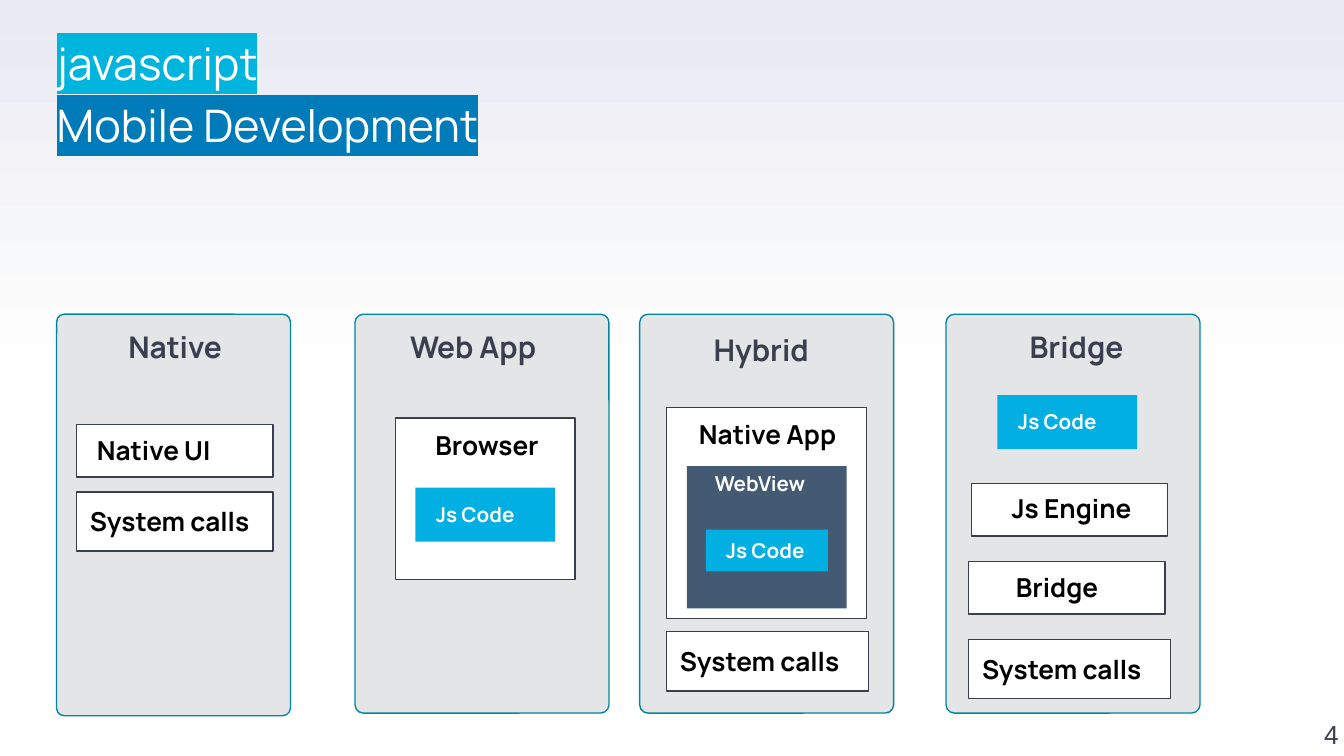
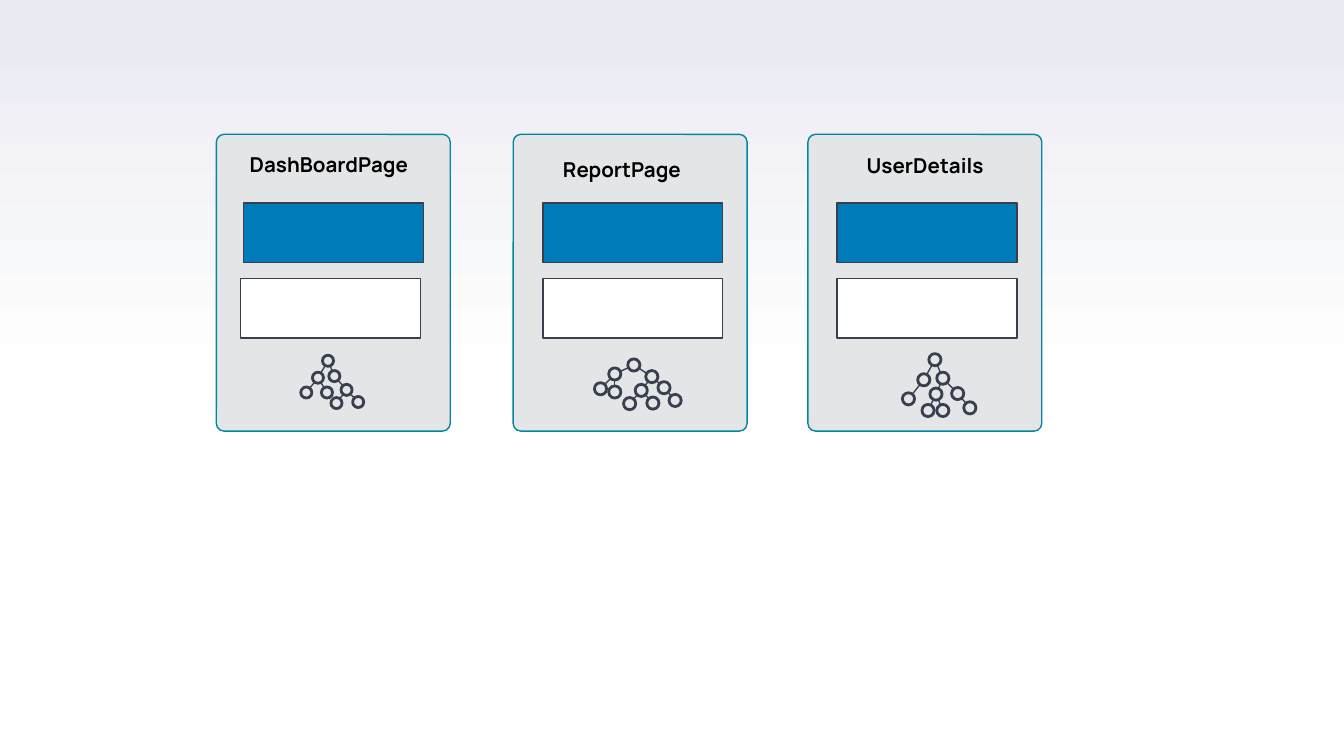
from math import hypot

from lxml import etree
from pptx import Presentation
from pptx.dml.color import RGBColor
from pptx.enum.shapes import MSO_CONNECTOR, MSO_SHAPE
from pptx.enum.text import MSO_ANCHOR, MSO_AUTO_SIZE, PP_ALIGN
from pptx.oxml.ns import qn
from pptx.util import Cm, Pt

RECTANGLE = MSO_SHAPE.RECTANGLE
ROUNDED = MSO_SHAPE.ROUNDED_RECTANGLE
OVAL = MSO_SHAPE.OVAL
STRAIGHT = MSO_CONNECTOR.STRAIGHT
TOP, BOTTOM = MSO_ANCHOR.TOP, MSO_ANCHOR.BOTTOM
LEFT, CENTER, RIGHT = PP_ALIGN.LEFT, PP_ALIGN.CENTER, PP_ALIGN.RIGHT

WHITE = RGBColor(0xFF, 0xFF, 0xFF)
BLACK = RGBColor(0, 0, 0)
LAVENDER = RGBColor(0xE9, 0xEA, 0xF2)
INK = RGBColor(0x3A, 0x3F, 0x50)
TEAL = RGBColor(0x00, 0x86, 0xA3)
GREY = RGBColor(0xE3, 0xE5, 0xE7)
CYAN = RGBColor(0x00, 0xB5, 0xDD)
BLUE = RGBColor(0x00, 0x7B, 0xB9)
SKY = RGBColor(0x01, 0xAF, 0xE2)
SLATE = RGBColor(0x43, 0x5A, 0x72)
FONT = "Manrope"


def add_box(slide, kind, left, top, width, height, fill, line, line_width=0.75):
    shape = slide.shapes.add_shape(kind, Cm(left), Cm(top), Cm(width), Cm(height))
    shape.shadow.inherit = False
    if kind == ROUNDED:
        shape.adjustments[0] = 0.033
    if fill is None:
        shape.fill.background()
    else:
        shape.fill.solid()
        shape.fill.fore_color.rgb = fill
    if line is None:
        shape.line.fill.background()
    else:
        shape.line.color.rgb = line
        shape.line.width = Pt(line_width)


def add_label(slide, text, left, top, width, height, size, color, align=LEFT, inset=True):
    shape = slide.shapes.add_textbox(Cm(left), Cm(top), Cm(width), Cm(height))
    text_frame = shape.text_frame
    text_frame.word_wrap = True
    if not inset:
        text_frame.margin_left = text_frame.margin_right = 0
        text_frame.margin_top = text_frame.margin_bottom = 0
    text_frame.text = text
    paragraph = text_frame.paragraphs[0]
    paragraph.alignment = align
    font = paragraph.runs[0].font
    font.name, font.size, font.bold = FONT, Pt(size), True
    font.color.rgb = color
    return shape


presentation = Presentation()
presentation.slide_width = Cm(25.4)
presentation.slide_height = Cm(14.29)

master = presentation.slide_master
background = master.background.fill
background.gradient()
background.gradient_angle = 90
stops = master.element.find(".//" + qn("a:gsLst"))
for stop in list(stops):
    stops.remove(stop)
for position, color in ((0, WHITE), (50, WHITE), (100, LAVENDER)):
    stop = etree.SubElement(stops, qn("a:gs"), pos=str(position * 1000))
    etree.SubElement(stop, qn("a:srgbClr"), val=str(color))

slide = presentation.slides.add_slide(presentation.slide_layouts[5])
title = slide.shapes.title
title.left, title.top, title.width, title.height = Cm(1.07), Cm(0.53), Cm(14.45), Cm(2.49)
text_frame = title.text_frame
text_frame.auto_size = MSO_AUTO_SIZE.NONE
text_frame.vertical_anchor = TOP
text_frame.margin_left = text_frame.margin_right = 0
text_frame.margin_top = text_frame.margin_bottom = 0
text_frame.text = "javascript\nMobile Development"
for paragraph, color in zip(text_frame.paragraphs, (CYAN, BLUE)):
    paragraph.alignment = LEFT
    paragraph.line_spacing = 1.15
    font = paragraph.runs[0].font
    font.name, font.size = FONT, Pt(24)
    font.color.rgb = WHITE
    highlight = etree.Element(qn("a:highlight"))
    etree.SubElement(highlight, qn("a:srgbClr"), val=str(color))
    paragraph.runs[0].font._element.find(qn("a:latin")).addprevious(highlight)

number = add_label(slide, "4", 24.03, 12.88, 1.27, 1.3, 14, INK, RIGHT, False)
number.text_frame.vertical_anchor = BOTTOM
number_font = number.text_frame.paragraphs[0].runs[0].font
number_font.name, number_font.bold = "Arial", False

columns = [
    ("Native", 1.07, 4.42, 7.59, 1.1, 6.15, 4.42, CENTER),
    ("Web App", 6.71, 4.8, 7.54, 7.75, 6.15, 3.8, LEFT),
    ("Hybrid", 12.09, 4.8, 7.54, 13.49, 6.2, 2.6, LEFT),
    ("Bridge", 17.88, 4.8, 7.54, 19.46, 6.15, 2.6, LEFT),
]
for name, left, width, height, label_left, label_top, label_width, align in columns:
    add_box(slide, ROUNDED, left, 5.94, width, height, GREY, TEAL)
    heading = add_label(slide, name, label_left, label_top, label_width, 0.74, 16, INK, align, False)
    heading.text_frame.paragraphs[0].line_spacing = 1.1

layers = [
    ("Native UI", WHITE, 1.45, 8.03, 3.71, 0.99, 0.13, 0.05, 3.43),
    ("System calls", WHITE, 1.45, 9.3, 3.71, 1.12, 0, 0.13, 3.81),
    ("Browser", WHITE, 7.47, 7.9, 3.4, 3.05, 0.51, 0.1, 2.64),
    ("Js Code", SKY, 7.85, 9.22, 2.64, 1.02, 0.14, 0.14, 2.36),
    ("Native App", WHITE, 12.6, 7.7, 3.78, 3.99, 0.36, 0.08, 3.35),
    ("WebView", SLATE, 12.98, 8.81, 3.02, 2.69, 0.28, -0.03, 2.69),
    ("Js Code", SKY, 13.34, 10.01, 2.31, 0.79, 0.13, 0.03, 2.08),
    ("System calls", WHITE, 12.6, 11.94, 3.81, 1.12, 0, 0.13, 3.94),
    ("Js Code", SKY, 18.85, 7.47, 2.64, 1.02, 0.14, 0.14, 2.36),
    ("Js Engine", WHITE, 18.36, 9.14, 3.71, 0.99, 0.51, 0.05, 3.12),
    ("Bridge", WHITE, 18.31, 10.62, 3.71, 0.99, 0.64, 0.05, 2.44),
    ("System calls", WHITE, 18.31, 12.09, 3.81, 1.12, 0, 0.13, 3.94),
]
for name, fill, left, top, width, height, shift, drop, label_width in layers:
    outlined = fill == WHITE
    add_box(slide, RECTANGLE, left, top, width, height, fill, INK if outlined else None)
    size, color, label_height = (14, BLACK, 0.86) if outlined else (11, WHITE, 0.74)
    add_label(slide, name, left + shift, top + drop, label_width, label_height, size, color)

slide = presentation.slides.add_slide(presentation.slide_layouts[6])
# each tree node: centre x, centre y, index of its parent
pages = [
    ("DashBoardPage", 4.09, 4.47, 2.74, 4.6, 4.55, 0.21, [
        (6.2, 6.82, None), (6.01, 7.14, 0), (6.32, 7.11, 0), (5.79, 7.42, 1),
        (6.18, 7.42, 1), (6.55, 7.37, 2), (6.36, 7.62, 5), (6.77, 7.6, 5)]),
    ("ReportPage", 9.7, 10.39, 2.84, 10.26, 10.26, 0.23, [
        (11.98, 6.9, None), (11.62, 7.07, 0), (12.32, 7.12, 0), (11.35, 7.35, 1),
        (11.62, 7.41, 1), (12.12, 7.38, 2), (12.55, 7.33, 2), (11.9, 7.63, 5),
        (12.34, 7.62, 5), (12.76, 7.57, 6)]),
    ("UserDetails", 15.27, 16.13, 2.77, 15.82, 15.82, 0.23, [
        (17.67, 6.8, None), (17.46, 7.18, 0), (17.82, 7.15, 0), (17.17, 7.54, 1),
        (17.69, 7.45, 2), (18.1, 7.44, 2), (17.54, 7.76, 4), (17.82, 7.76, 4),
        (18.33, 7.71, 5)]),
]
for name, left, label_left, label_top, blue_left, white_left, diameter, nodes in pages:
    add_box(slide, ROUNDED, left, 2.54, 4.42, 5.61, GREY, TEAL)
    add_box(slide, RECTANGLE, blue_left, 3.84, 3.4, 1.12, BLUE, INK)
    add_box(slide, RECTANGLE, white_left, 5.27, 3.4, 1.12, WHITE, INK)
    add_label(slide, name, label_left, label_top, 3.53, 0.74, 11, BLACK)
    radius = diameter / 2
    for x, y, parent in nodes:
        add_box(slide, OVAL, x - radius, y - radius, diameter, diameter, None, INK, 1.5)
        if parent is None:
            continue
        parent_x, parent_y, _ = nodes[parent]
        distance = hypot(x - parent_x, y - parent_y)
        step_x = (x - parent_x) / distance * radius
        step_y = (y - parent_y) / distance * radius
        branch = slide.shapes.add_connector(
            STRAIGHT, Cm(parent_x + step_x), Cm(parent_y + step_y), Cm(x - step_x), Cm(y - step_y))
        branch.line.color.rgb = INK
        branch.line.width = Pt(0.75)
        etree.SubElement(branch._element.spPr, qn("a:effectLst"))

presentation.save("out.pptx")
